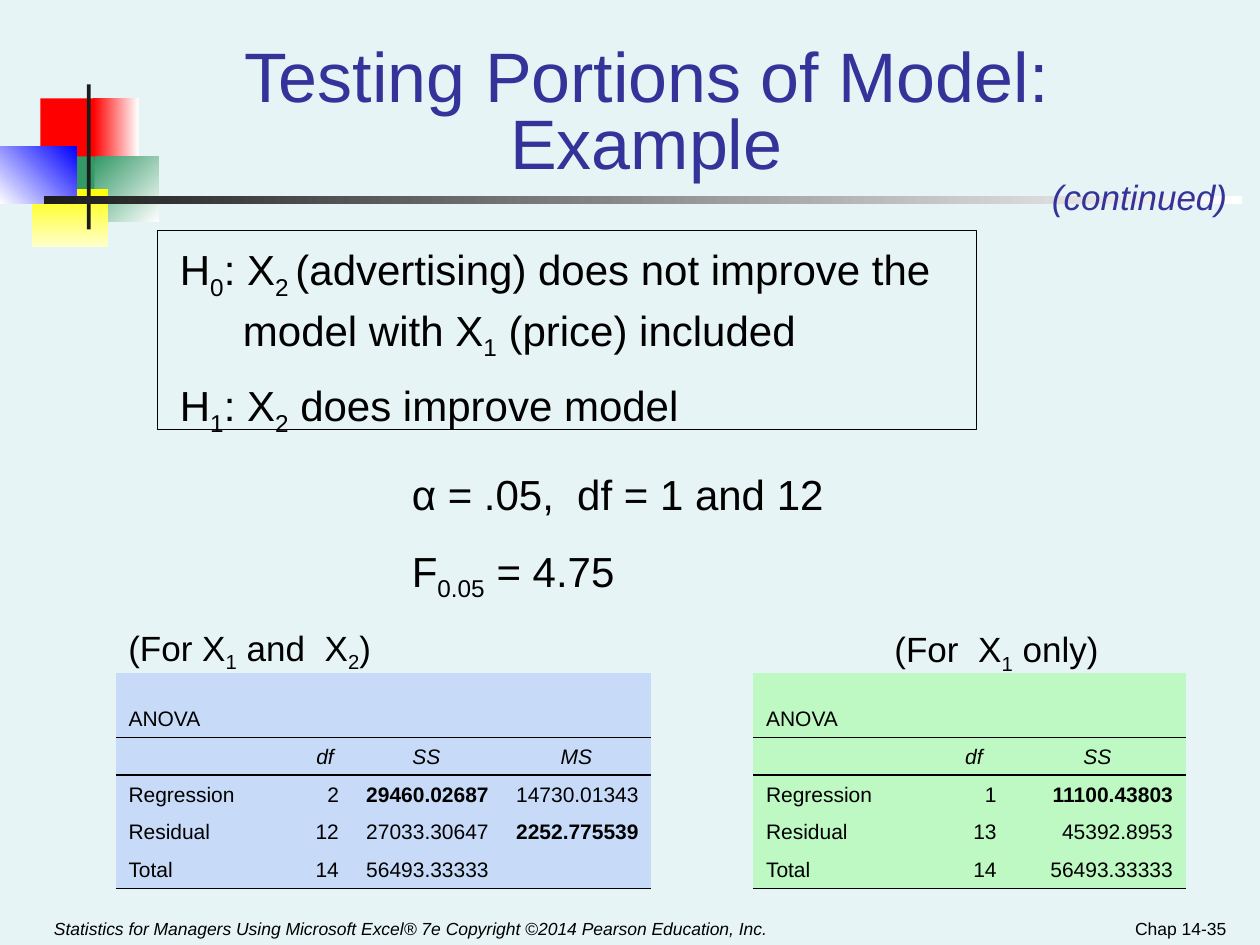
from lxml.etree import SubElement
from pptx import Presentation
from pptx.dml.color import RGBColor
from pptx.enum.shapes import MSO_SHAPE
from pptx.enum.text import MSO_ANCHOR, MSO_AUTO_SIZE, PP_ALIGN
from pptx.oxml import parse_xml
from pptx.oxml.ns import nsdecls
from pptx.util import Inches, Pt

BLACK, NAVY = "000000", "333399"
NO_TABLE_STYLE = "{2D5ABB26-0587-4C30-8999-92F81FD0307C}"


def rgb(value):
    return RGBColor.from_string(value)


def write(paragraph, parts, size, color=BLACK, italic=False, bold=False):
    """Add one run per part; every second part is a subscript."""
    for index, part in enumerate(parts):
        run = paragraph.add_run()
        run.text = part
        font = run.font
        font.name, font.size = "Arial", Pt(size)
        font.italic, font.bold = italic, bold
        font.color.rgb = rgb(color)
        if index % 2:
            font._element.set("baseline", "-25000")


deck = Presentation()
deck.slide_width, deck.slide_height = Inches(10), Inches(7.5)
slide = deck.slides.add_slide(deck.slide_layouts[5])
slide.background.fill.solid()
slide.background.fill.fore_color.rgb = rgb("E7F4F5")

# Corner ornament: left, top, width, height, colours, clockwise angle
ornament = [
    (0.32, 0.78, 0.48, 0.52, ["FF0000"], 0),
    (0.74, 0.78, 0.36, 0.52, ["FF0000", "FFFFFF"], 0),
    (0.75, 1.24, 0.51, 0.52, ["339966", "FFFFFF"], 45),
    (0.43, 1.24, 0.32, 0.52, ["339966"], 0),
    (0.25, 1.5, 0.61, 0.46, ["FFFF00", "FFFFCC"], 90),
    (0, 1.16, 0.61, 0.46, ["FFFFFF", "0000FF"], 315),
    (0.69, 0.67, 0.03, 1.15, ["1C1C1C"], 0),
    (0.35, 1.56, 9.51, 0.06, ["1C1C1C", "FFFFFF"], 0),
]
for *place, colors, angle in ornament:
    block = slide.shapes.add_shape(MSO_SHAPE.RECTANGLE, *map(Inches, place))
    block.shadow.inherit = False
    block.line.fill.background()
    if len(colors) == 1:
        block.fill.solid()
        block.fill.fore_color.rgb = rgb(colors[0])
    else:
        block.fill.gradient()
        block.fill.gradient_angle = (360 - angle) % 360
        for stop, color in zip(block.fill.gradient_stops, colors):
            stop.color.rgb = rgb(color)

title = slide.shapes.title
title.left, title.top, title.width, title.height = map(Inches, (1.26, 0.42, 7.74, 1.08))
title.text_frame.auto_size = MSO_AUTO_SIZE.NONE
title.text_frame.vertical_anchor = MSO_ANCHOR.BOTTOM
heading = title.text_frame.paragraphs[0]
heading.alignment = PP_ALIGN.CENTER
heading.line_spacing = 0.8
write(heading, ["Testing Portions of Model: Example"], 40, NAVY)

# Body text: place, size, line spacings, paragraphs
statements = [
    ((1.33, 2, 7, 1.52), 24, (0.6, 0.6, 1), [
        ["H", "0", ": X", "2 ", "(advertising) does not improve the"],
        ["\tmodel with X", "1", " (price) included"],
        ["H", "1", ": X", "2", " does improve model"],
    ]),
    ((3.17, 3.67, 3.58, 1.16), 24, (1, 1), [
        ["α = .05,  df = 1 and 12"],
        ["F", "0.05", " = 4.75"],
    ]),
    ((0.92, 4.92, 2.33, 0.48), 20, (1,), [["(For X", "1", " and  X", "2", ")"]]),
    ((7, 4.93, 2.08, 0.48), 20, (1,), [["(For  X", "1", " only)"]]),
]
for place, size, spacings, lines in statements:
    frame = slide.shapes.add_textbox(*map(Inches, place)).text_frame
    frame.word_wrap = True
    for index, (spacing, parts) in enumerate(zip(spacings, lines)):
        paragraph = frame.add_paragraph() if index else frame.paragraphs[0]
        paragraph.line_spacing = spacing
        if index:
            paragraph.space_before = Pt(15)
        write(paragraph, parts, size)

# Single lines: place, text, size, colour, italic, alignment, anchor
captions = [
    ((8.25, 1.34, 1.59, 0.44), "(continued)", 20, NAVY, True, PP_ALIGN.LEFT, MSO_ANCHOR.TOP),
    ((0.33, 7.08, 5.92, 0.42),
     "Statistics for Managers Using Microsoft Excel® 7e Copyright ©2014 Pearson Education, Inc.",
     10, BLACK, True, PP_ALIGN.LEFT, MSO_ANCHOR.BOTTOM),
    ((7.5, 7.15, 2.33, 0.35), "Chap 14-35", 10, BLACK, False, PP_ALIGN.RIGHT, MSO_ANCHOR.BOTTOM),
]
for place, text, size, color, italic, alignment, anchor in captions:
    frame = slide.shapes.add_textbox(*map(Inches, place)).text_frame
    frame.word_wrap = text != "(continued)"
    frame.vertical_anchor = anchor
    frame.paragraphs[0].alignment = alignment
    write(frame.paragraphs[0], [text], size, color, italic)

# ANOVA tables: left, fill, column widths, rows
anovas = [
    (0.92, "C7DAF7", (1.45, 0.42, 1.19, 1.19), [
        ("ANOVA", "", "", ""),
        ("", "df", "SS", "MS"),
        ("Regression", "2", "29460.02687", "14730.01343"),
        ("Residual", "12", "27033.30647", "2252.775539"),
        ("Total", "14", "56493.33333", ""),
    ]),
    (5.98, "BEF8C2", (1.47, 0.56, 1.4), [
        ("ANOVA", "", ""),
        ("", "df", "SS"),
        ("Regression", "1", "11100.43803"),
        ("Residual", "13", "45392.8953"),
        ("Total", "14", "56493.33333"),
    ]),
]
key_values = {"29460.02687", "2252.775539", "11100.43803"}
row_heights = (0.51, 0.3, 0.3, 0.3, 0.3)
ruled_rows = (0, 1, 4)
for left, fill, widths, rows in anovas:
    anova = slide.shapes.add_table(
        len(rows), len(widths), Inches(left), Inches(5.34),
        Inches(sum(widths)), Inches(sum(row_heights))).table
    anova.first_row = anova.horz_banding = False
    anova._tbl.tblPr[0].text = NO_TABLE_STYLE
    for column, width in zip(anova.columns, widths):
        column.width = Inches(width)
    for r, values in enumerate(rows):
        anova.rows[r].height = Inches(row_heights[r])
        for c, value in enumerate(values):
            cell = anova.cell(r, c)
            cell.fill.solid()
            cell.fill.fore_color.rgb = rgb(fill)
            cell.vertical_anchor = MSO_ANCHOR.BOTTOM
            if r in ruled_rows:
                rule = parse_xml(f'<a:lnB {nsdecls("a")} w="9525"/>')
                ink = SubElement(rule, rule.tag.replace("lnB", "solidFill"))
                SubElement(ink, rule.tag.replace("lnB", "srgbClr"), val=BLACK)
                cell._tc.tcPr.insert(0, rule)
            if not value:
                cell.margin_top = cell.margin_bottom = 0
                continue
            paragraph = cell.text_frame.paragraphs[0]
            if c:
                paragraph.alignment = PP_ALIGN.CENTER if r == 1 else PP_ALIGN.RIGHT
            write(paragraph, [value], 12, italic=r == 1, bold=value in key_values)

hypothesis_frame = slide.shapes.add_shape(
    MSO_SHAPE.RECTANGLE, Inches(1.25), Inches(1.83), Inches(6.5), Inches(1.58))
hypothesis_frame.shadow.inherit = False
hypothesis_frame.fill.background()
hypothesis_frame.line.color.rgb = rgb(BLACK)
hypothesis_frame.line.width = Pt(0.75)

deck.save("out.pptx")
